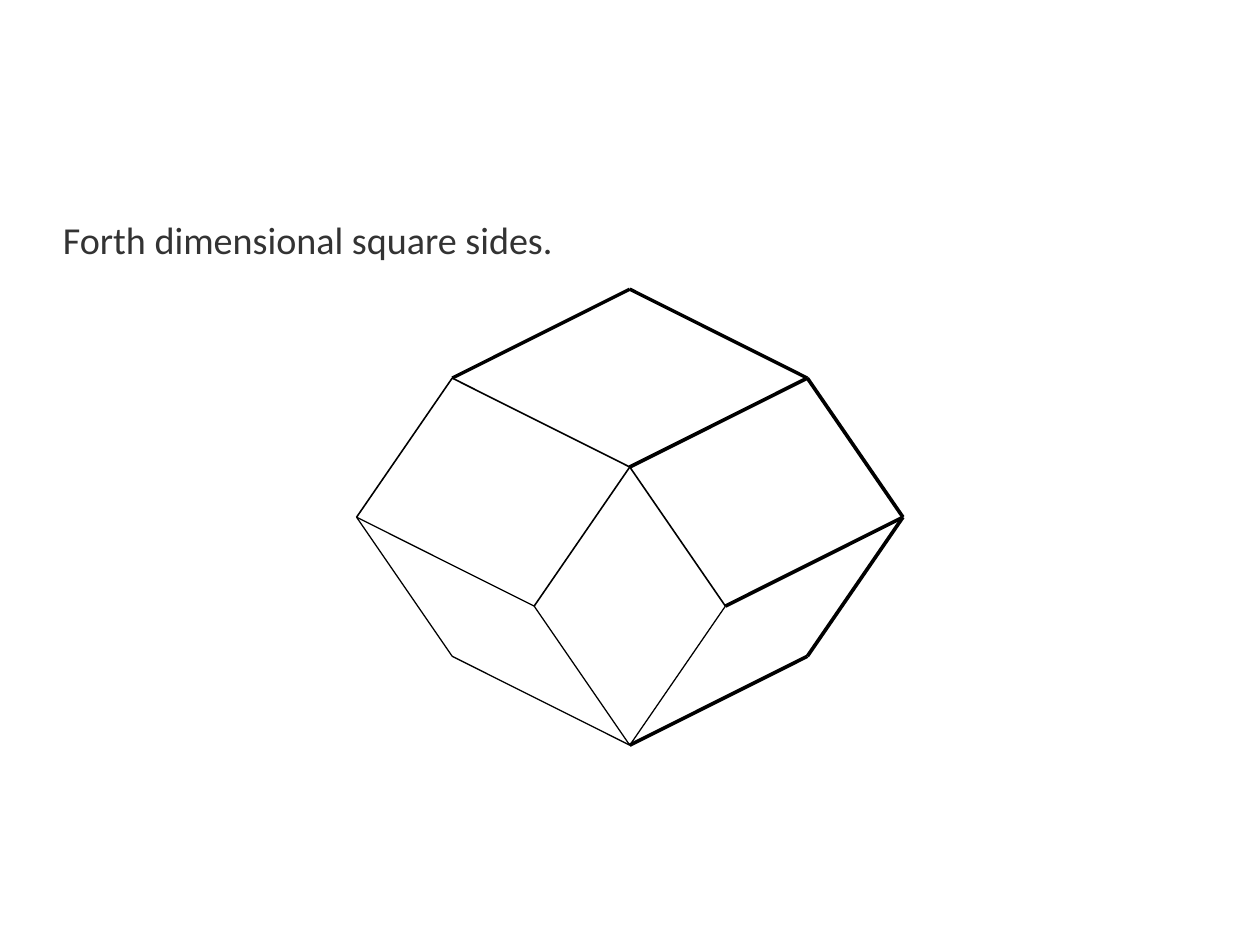
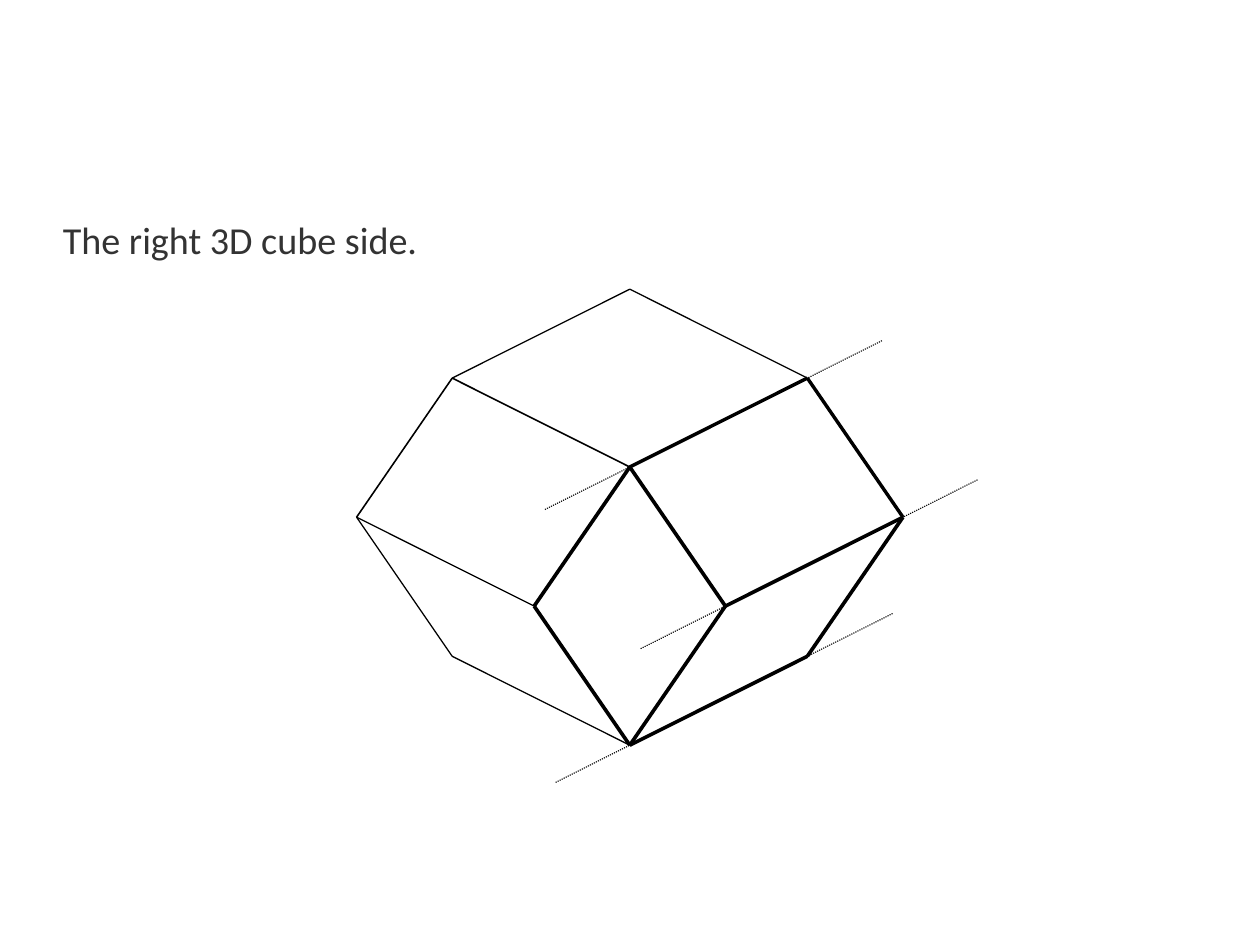
from lxml import etree
from pptx import Presentation
from pptx.dml.color import RGBColor
from pptx.enum.dml import MSO_LINE
from pptx.enum.shapes import MSO_CONNECTOR
from pptx.enum.text import MSO_ANCHOR
from pptx.oxml.ns import qn
from pptx.util import Cm, Inches, Pt

WIDTH, HEIGHT = Cm(28), Cm(21)
COLORS = {"background": "FFFFFF", "text": "333333", "line": "000000"}
FONT = "Calibri"
TEXT_BOX = (0.55, 1.94, 9.92, 5.46)
FIGURE_BOX = (3.12, 2.53, 4.78, 3.99)

HAIR, THIN, BOLD, HEAVY, DOTTED = 0.79, 1, 2.15, 2.3, 0.71

# Two edge directions, as shares of the figure box, generate every vertex.
FLAT_X, FLAT_Y = 0.325, 0.195
STEEP_X, STEEP_Y = 0.175, 0.305
VERTICES = {
    "top": (0.5, 0),
    "upper left": (0.5 - FLAT_X, FLAT_Y),
    "upper right": (0.5 + FLAT_X, FLAT_Y),
    "centre": (0.5, 2 * FLAT_Y),
    "left": (0, 0.5),
    "right": (1, 0.5),
    "inner left": (0.5 - STEEP_X, 2 * FLAT_Y + STEEP_Y),
    "inner right": (0.5 + STEEP_X, 2 * FLAT_Y + STEEP_Y),
    "lower left": (STEEP_X, 0.5 + STEEP_Y),
    "lower right": (1 - STEEP_X, 0.5 + STEEP_Y),
    "bottom": (0.5, 1),
}

# Each edge with its weight when it is not emphasised.
EDGES = {
    ("lower left", "bottom"): HAIR,
    ("inner left", "bottom"): HAIR,
    ("bottom", "lower right"): HAIR,
    ("bottom", "inner right"): HAIR,
    ("left", "inner left"): HAIR,
    ("left", "lower left"): HAIR,
    ("inner left", "centre"): THIN,
    ("centre", "inner right"): THIN,
    ("left", "upper left"): THIN,
    ("upper left", "centre"): THIN,
    ("inner right", "right"): HAIR,
    ("lower right", "right"): HAIR,
    ("upper right", "right"): HAIR,
    ("centre", "upper right"): HAIR,
    ("upper left", "top"): HAIR,
    ("top", "upper right"): HAIR,
}

SQUARE_SIDES = {
    ("bottom", "lower right"): HEAVY,
    ("inner right", "right"): HEAVY,
    ("lower right", "right"): HEAVY,
    ("upper right", "right"): HEAVY,
    ("centre", "upper right"): HEAVY,
    ("upper left", "top"): BOLD,
    ("top", "upper right"): BOLD,
}
RIGHT_CUBE = {
    ("inner left", "bottom"): HEAVY,
    ("bottom", "lower right"): HEAVY,
    ("bottom", "inner right"): HEAVY,
    ("inner left", "centre"): HEAVY,
    ("centre", "inner right"): HEAVY,
    ("inner right", "right"): HEAVY,
    ("lower right", "right"): HEAVY,
    ("upper right", "right"): BOLD,
    ("centre", "upper right"): BOLD,
}

# Overshoot before and after each edge, as shares of its length.
GUIDES = {
    ("bottom", "lower right"): (0.42, 0.48),
    ("inner right", "right"): (0.48, 0.42),
    ("centre", "upper right"): (0.48, 0.42),
}


def rgb(name):
    return RGBColor.from_string(COLORS[name])


def add_text(slide, box, text, size=24, color="text", line_spacing=0.9, space_after=14.1):
    tf = slide.shapes.add_textbox(*map(Inches, box)).text_frame
    tf.word_wrap = True
    tf.vertical_anchor = MSO_ANCHOR.TOP
    tf.margin_left = tf.margin_right = tf.margin_top = tf.margin_bottom = 0
    p = tf.paragraphs[0]
    p.line_spacing, p.space_after = line_spacing, Pt(space_after)
    r = p.add_run()
    r.text = text
    r.font.name, r.font.size = FONT, Pt(size)
    r.font.color.rgb = rgb(color)


def add_line(slide, start, end, weight, dash=None):
    line = slide.shapes.add_connector(
        MSO_CONNECTOR.STRAIGHT, *map(Inches, (*start, *end)))
    line.line.color.rgb = rgb("line")
    line.line.width = Pt(weight)
    if dash:
        line.line.dash_style = dash
    etree.SubElement(line._element.spPr, qn("a:effectLst"))


def vertex_in(box, name):
    left, top, width, height = box
    x, y = VERTICES[name]
    return left + x * width, top + y * height


def along(start, end, share):
    return tuple(a + share * (b - a) for a, b in zip(start, end))


def add_figure(slide, box, emphasis, guides):
    weights = {**EDGES, **emphasis}
    for edge, weight in weights.items():
        start, end = (vertex_in(box, name) for name in edge)
        add_line(slide, start, end, weight)
    for edge, (before, after) in guides.items():
        start, end = (vertex_in(box, name) for name in edge)
        add_line(slide, along(start, end, 1 + after), along(start, end, -before),
                 DOTTED, MSO_LINE.ROUND_DOT)


def add_figure_slide(prs, caption, emphasis, guides):
    slide = prs.slides.add_slide(prs.slide_layouts[6])
    add_text(slide, TEXT_BOX, caption)
    add_figure(slide, FIGURE_BOX, emphasis, guides)


def main():
    prs = Presentation()
    prs.slide_width, prs.slide_height = WIDTH, HEIGHT
    fill = prs.slide_master.background.fill
    fill.solid()
    fill.fore_color.rgb = rgb("background")
    add_figure_slide(prs, "Forth dimensional square sides.", SQUARE_SIDES, {})
    add_figure_slide(prs, "The right 3D cube side.", RIGHT_CUBE, GUIDES)
    prs.save("out.pptx")


if __name__ == "__main__":
    main()
